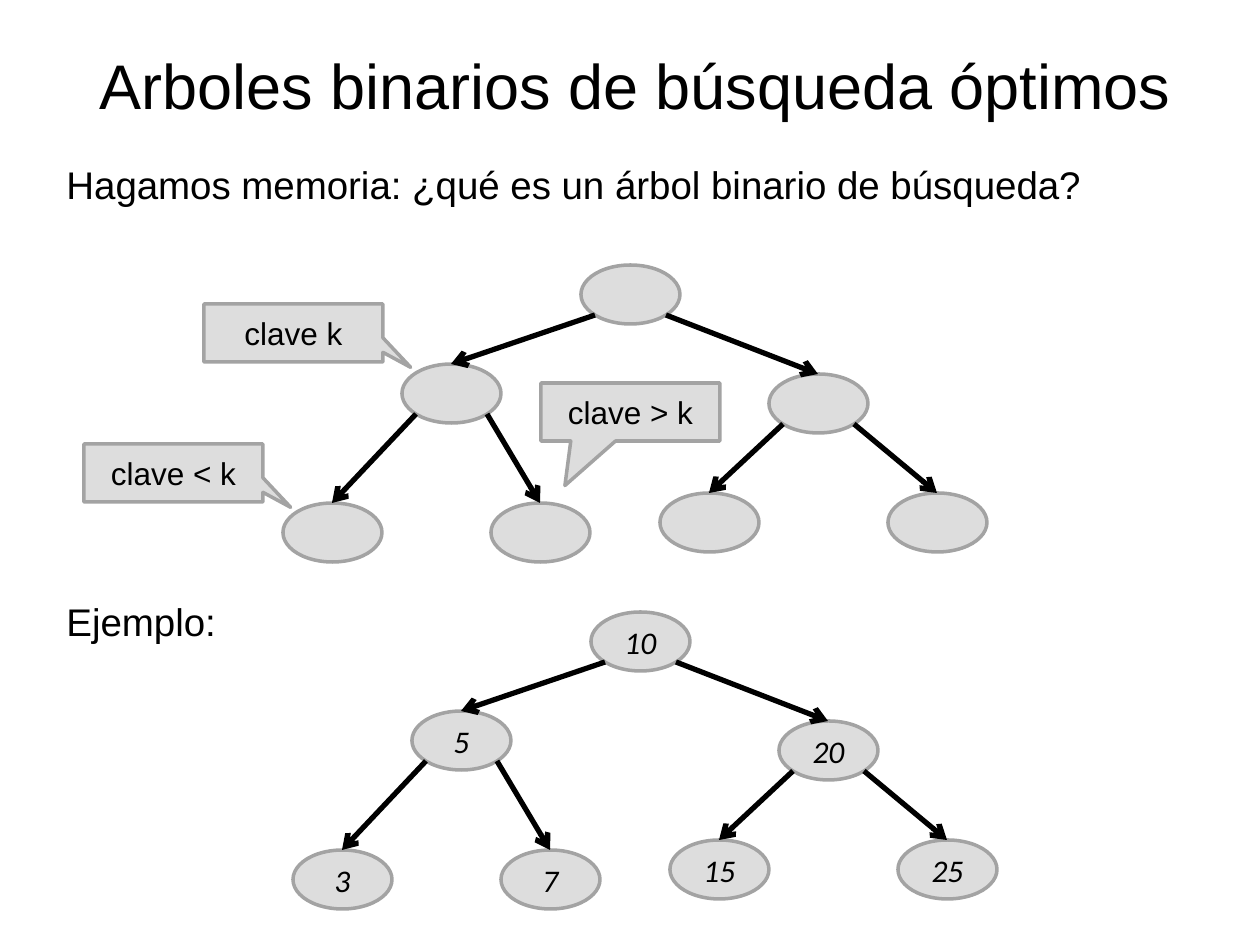
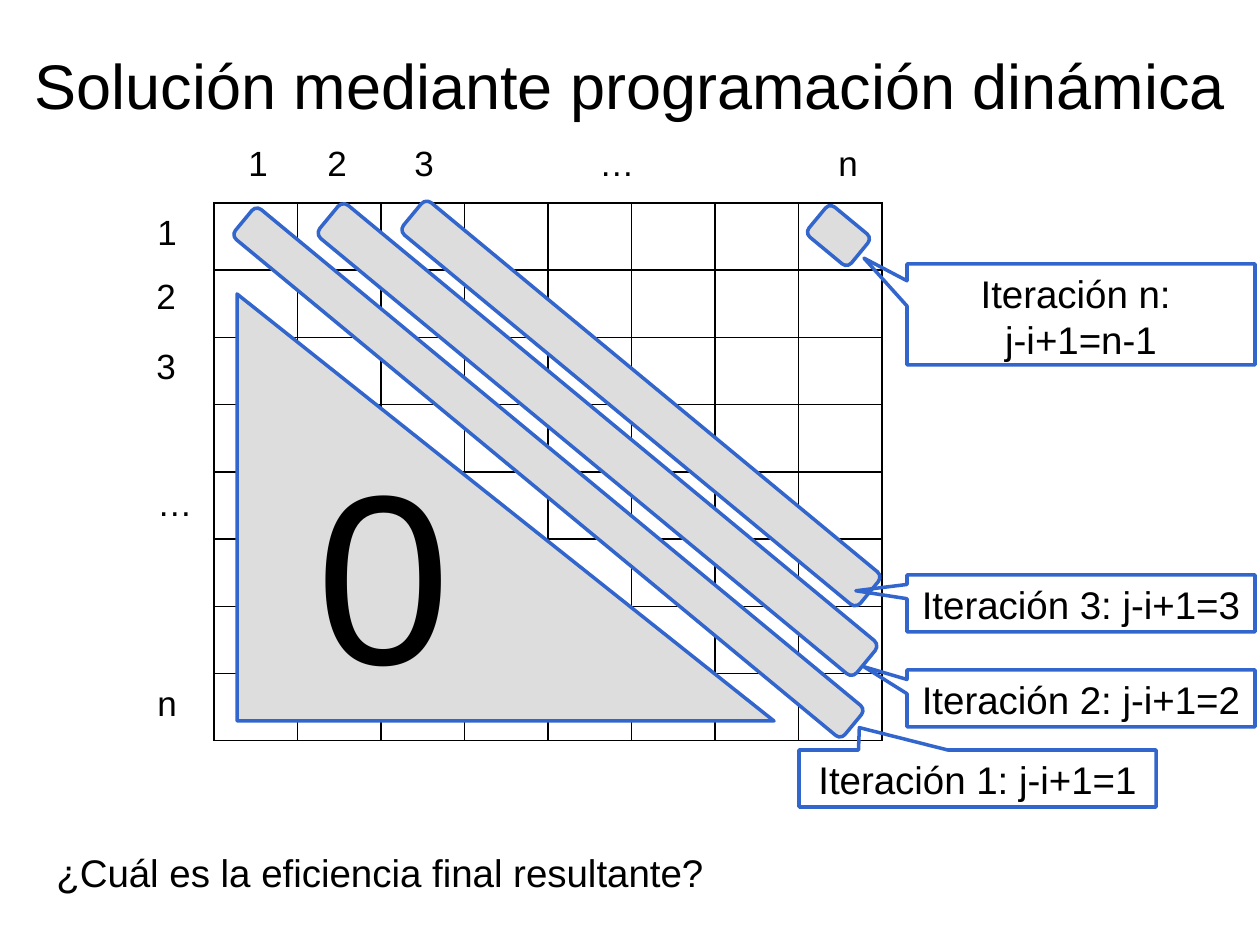
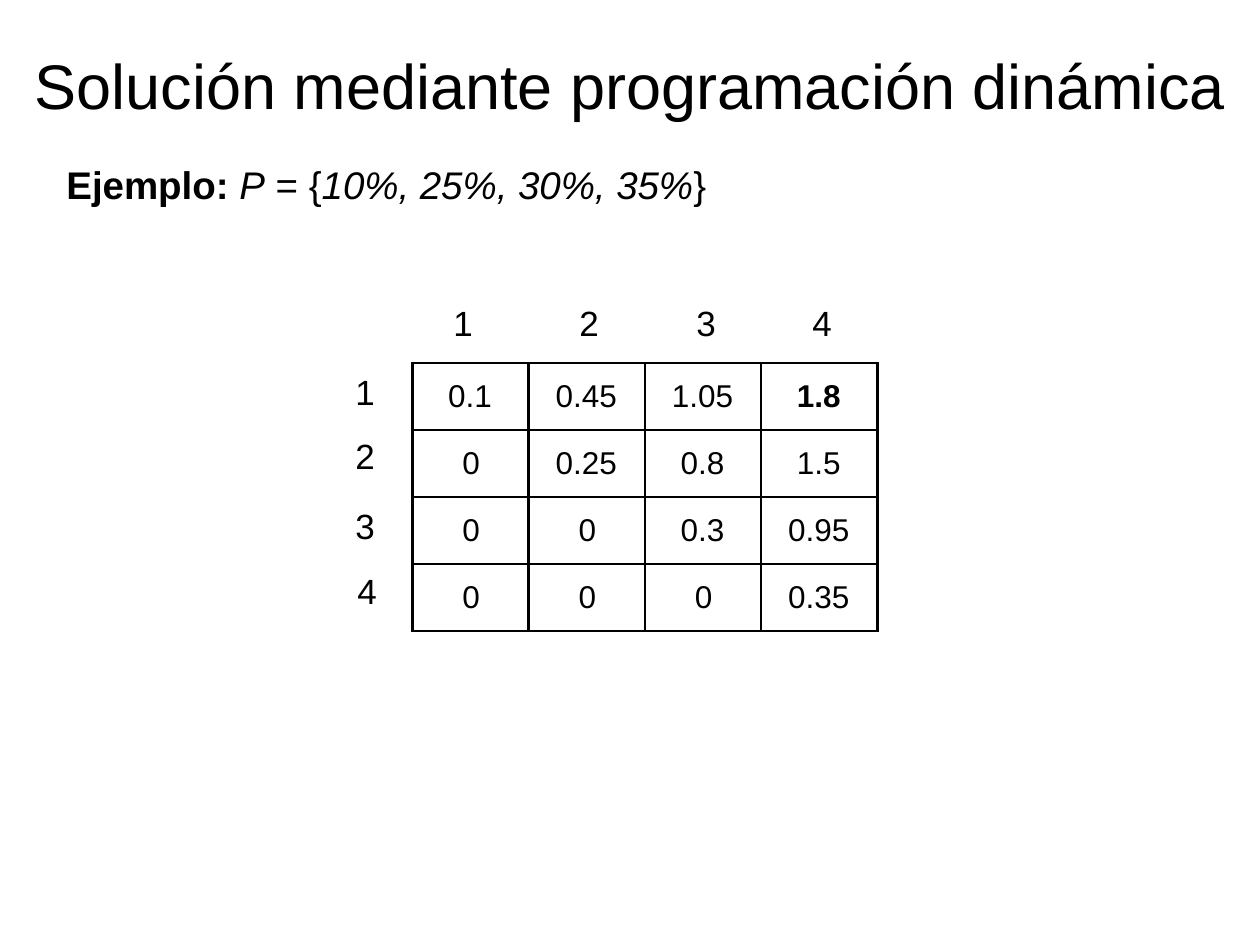
from dataclasses import dataclass
from lxml.etree import SubElement
from pptx import Presentation
from pptx.dml.color import RGBColor
from pptx.enum.shapes import MSO_CONNECTOR, MSO_SHAPE
from pptx.enum.text import MSO_ANCHOR, PP_ALIGN
from pptx.oxml.ns import qn
from pptx.util import Pt


@dataclass(frozen=True)
class Theme:
    ink: RGBColor = RGBColor(0x00, 0x00, 0x00)
    pale: RGBColor = RGBColor(0xDD, 0xDD, 0xDD)
    gray: RGBColor = RGBColor(0xA3, 0xA3, 0xA3)
    blue: RGBColor = RGBColor(0x33, 0x66, 0xCC)
    font: str = "Arial"
    node_font: str = "Calibri"
    title: int = 36
    body: int = 22
    label: int = 20
    small: int = 18
    zero: int = 138


theme = Theme()
PX = 914400 / 126


def write(holder, lines, size, align=PP_ALIGN.LEFT, anchor=MSO_ANCHOR.TOP, font=theme.font):
    frame = holder.text_frame
    frame.word_wrap = True
    frame.vertical_anchor = anchor
    for index, line in enumerate(lines):
        para = frame.paragraphs[0] if index == 0 else frame.add_paragraph()
        para.alignment = align
        for text, style in line:
            span = para.add_run()
            span.text = text
            span.font.name = font
            span.font.size = Pt(size)
            span.font.color.rgb = theme.ink
            span.font.bold = "b" in style
            span.font.italic = "i" in style


def add_box(page, place, kind=None, line=None, fill=None):
    place = [round(length * PX) for length in place]
    if kind is None:
        return page.shapes.add_textbox(*place)
    box = page.shapes.add_shape(kind, *place)
    box.shadow.inherit = False
    box.line.color.rgb = line
    box.line.width = Pt(2)
    if fill is None:
        box.fill.background()
    else:
        box.fill.solid()
        box.fill.fore_color.rgb = fill
    return box


deck = Presentation()
deck.slide_width = round(1260 * PX)
deck.slide_height = round(945 * PX)

pages = []
for title, left, width in [
    ("Arboles binarios de búsqueda óptimos", 64, 1142),
    ("Solución mediante programación dinámica", 0, 1260),
    ("Solución mediante programación dinámica", 0, 1260),
]:
    page = deck.slides.add_slide(deck.slide_layouts[6])
    write(add_box(page, (left, 26, width, 102)), [[(title, "")]], theme.title,
          PP_ALIGN.CENTER, MSO_ANCHOR.BOTTOM)
    pages.append(page)
tree_page, matrix_page, example_page = pages

for page, place, spans in [
    (tree_page, (54, 155, 1152, 69),
     [("Hagamos memoria: ¿qué es un árbol binario de búsqueda?", "")]),
    (tree_page, (54, 592, 1152, 69), [("Ejemplo:", "")]),
    (matrix_page, (44, 843, 728, 57),
     [("¿Cuál es la eficiencia final resultante? ", "")]),
    (example_page, (54, 155, 1152, 69),
     [("Ejemplo: ", "b"), ("P", "i"), (" = {", ""),
      ("10%, 25%, 30%, 35%", "i"), ("}", "")]),
]:
    write(add_box(page, place), [spans], theme.body, PP_ALIGN.JUSTIFY)

node_width, node_height = 99, 59
nodes = [(581, 265), (402, 364), (769, 374),
         (283, 503), (491, 503), (660, 493), (888, 493)]
for shift_x, shift_y, keys in [
    (0, 0, [""] * 7),
    (10, 347, ["10", "5", "20", "3", "7", "15", "25"]),
]:
    spots = [(x + shift_x, y + shift_y) for x, y in nodes]
    for (x, y), key in zip(spots, keys):
        node = add_box(tree_page, (x, y, node_width, node_height),
                       MSO_SHAPE.OVAL, theme.gray, theme.pale)
        if key:
            write(node, [[(key, "i")]], theme.small, PP_ALIGN.CENTER,
                  MSO_ANCHOR.MIDDLE, theme.node_font)
    for child in range(1, len(spots)):
        parent_x, parent_y = spots[(child - 1) // 2]
        child_x, child_y = spots[child]
        exit_x = 14 if child % 2 else node_width - 14
        ends = (parent_x + exit_x, parent_y + 50, child_x + node_width // 2, child_y)
        arrow = tree_page.shapes.add_connector(
            MSO_CONNECTOR.STRAIGHT, *[round(length * PX) for length in ends])
        arrow.line.color.rgb = theme.ink
        arrow.line.width = Pt(3)
        SubElement(arrow.get_or_add_ln(), qn("a:tailEnd"), type="arrow")
        SubElement(arrow._element.spPr, qn("a:effectLst"))

for text, left, top, tip in [
    ("clave k", 204, 304, (0.655, 0.593)),
    ("clave < k", 84, 444, (0.655, 0.593)),
    ("clave > k", 541, 383, (-0.366, 1.269)),
]:
    callout = add_box(tree_page, (left, top, 179, 58),
                      MSO_SHAPE.RECTANGULAR_CALLOUT, theme.gray, theme.pale)
    callout.adjustments[0], callout.adjustments[1] = tip
    write(callout, [[(text, "")]], theme.small, PP_ALIGN.CENTER, MSO_ANCHOR.MIDDLE)

zeros = [["0"] * row + [""] * (4 - row) for row in range(4)]
costs = [["0.1", "0.45", "1.05", "1.8"],
         ["", "0.25", "0.8", "1.5"],
         ["", "", "0.3", "0.95"],
         ["", "", "", "0.35"]]
for page, values, place in [
    (matrix_page, [[""] * 8] * 8, (214, 203, 668, 538)),
    (example_page, [[""] * 4] * 4, (413, 363, 465, 268)),
    (example_page, zeros, (413, 363, 465, 268)),
    (example_page, costs, (412, 363, 465, 268)),
]:
    count = len(values)
    table = page.shapes.add_table(
        count, count, *[round(length * PX) for length in place]).table
    table.first_row = False
    table.horz_banding = False
    for row, row_values in enumerate(values):
        for column, value in enumerate(row_values):
            cell = table.cell(row, column)
            cell.vertical_anchor = MSO_ANCHOR.MIDDLE
            for side in ("lnL", "lnR", "lnT", "lnB"):
                border = SubElement(cell._tc.get_or_add_tcPr(), qn("a:" + side), w="12700")
                paint = SubElement(border, qn("a:solidFill"))
                SubElement(paint, qn("a:srgbClr"), val=str(theme.ink))
            cell.fill.background()
            if value:
                write(cell, [[(value, "b" if value == "1.8" else "")]], theme.small,
                      PP_ALIGN.CENTER, MSO_ANCHOR.MIDDLE)

for page, row_labels, heading_place, heading, stops in [
    (matrix_page,
     [("1", 145, 204), ("2", 144, 268), ("3", 144, 338), ("…", 145, 475), ("n", 145, 675)],
     (227, 135, 655, 55), "123…n", (9, 88, 175, 360, 599)),
    (example_page,
     [("1", 343, 364), ("2", 343, 428), ("3", 343, 498), ("4", 345, 563)],
     (431, 295, 447, 55), "1234", (10, 136, 253, 369)),
]:
    for text, left, top in row_labels:
        write(add_box(page, (left, top, 69, 55)), [[(text, "")]], theme.label)
    heading_box = add_box(page, heading_place)
    write(heading_box, [[("\t" + text, "") for text in heading]], theme.label)
    properties = heading_box.text_frame.paragraphs[0]._p.get_or_add_pPr()
    tabs = SubElement(properties, qn("a:tabLst"))
    for stop in stops:
        SubElement(tabs, qn("a:tab"), pos=str(round(stop * PX)), algn="l")

add_box(matrix_page, (237, 294, 537, 427), MSO_SHAPE.RIGHT_TRIANGLE, theme.blue, theme.pale)
write(add_box(matrix_page, (304, 417, 189, 305)), [[("0", "")]], theme.zero)

for diagonal_place, callout_place, tip, lines in [
    ((529, 77, 39, 791), (799, 750, 357, 57), (-0.331, -0.893), ["Iteración 1: j-i+1=1"]),
    ((576, 91, 43, 697), (907, 670, 348, 57), (-0.624, -0.558), ["Iteración 2: j-i+1=2"]),
    ((620, 107, 42, 593), (907, 575, 348, 57), (-0.647, -0.223), ["Iteración 3: j-i+1=3"]),
    ((819, 208, 39, 55), (907, 264, 348, 101), (-0.624, -0.558),
     ["Iteración n: ", "j-i+1=n-1"]),
]:
    diagonal = add_box(matrix_page, diagonal_place, MSO_SHAPE.ROUNDED_RECTANGLE,
                       theme.blue, theme.pale)
    diagonal.rotation = 309.6
    callout = add_box(matrix_page, callout_place, MSO_SHAPE.RECTANGULAR_CALLOUT, theme.blue)
    callout.adjustments[0], callout.adjustments[1] = tip
    write(callout, [[(line, "")] for line in lines], theme.body, PP_ALIGN.CENTER)

deck.save("out.pptx")
